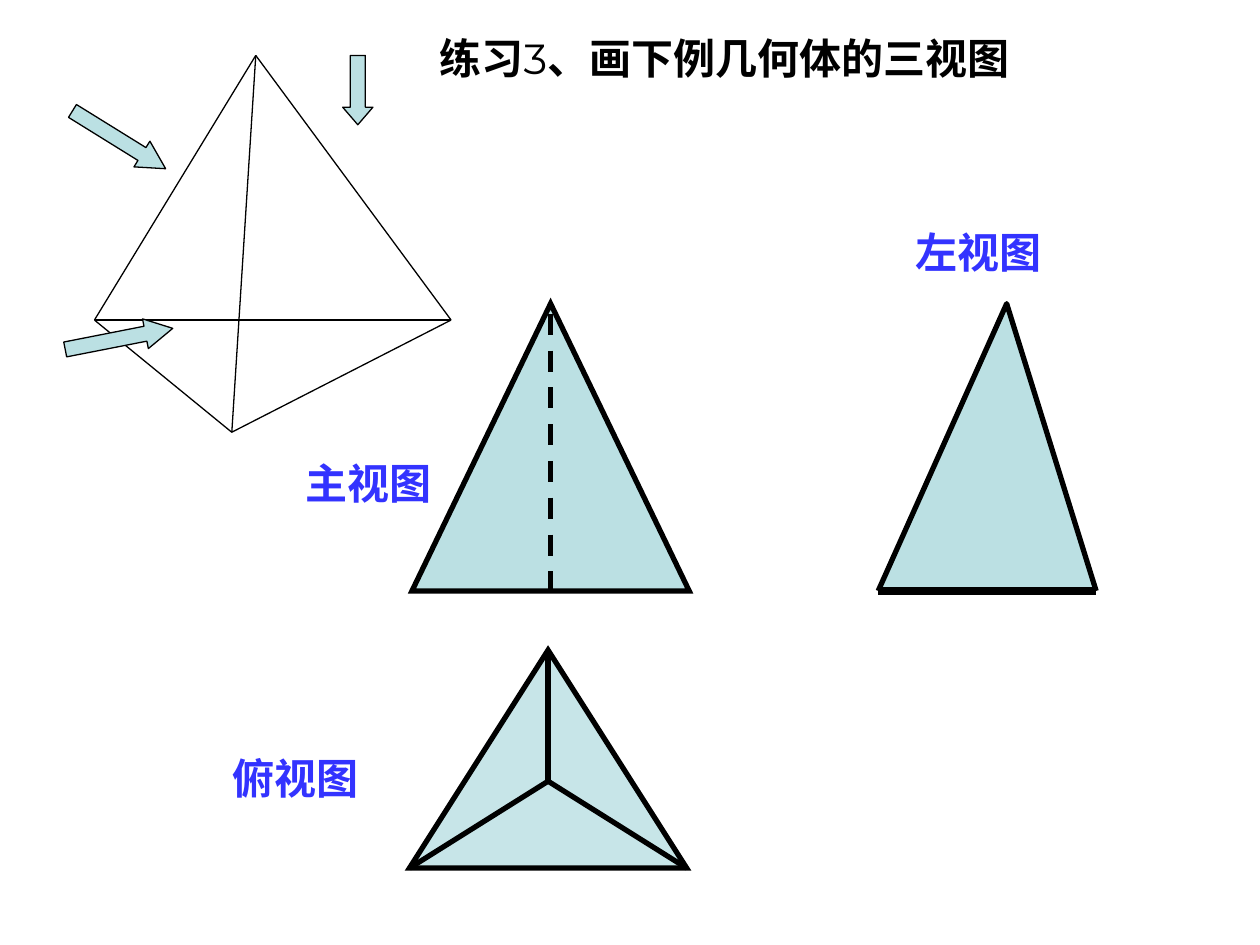
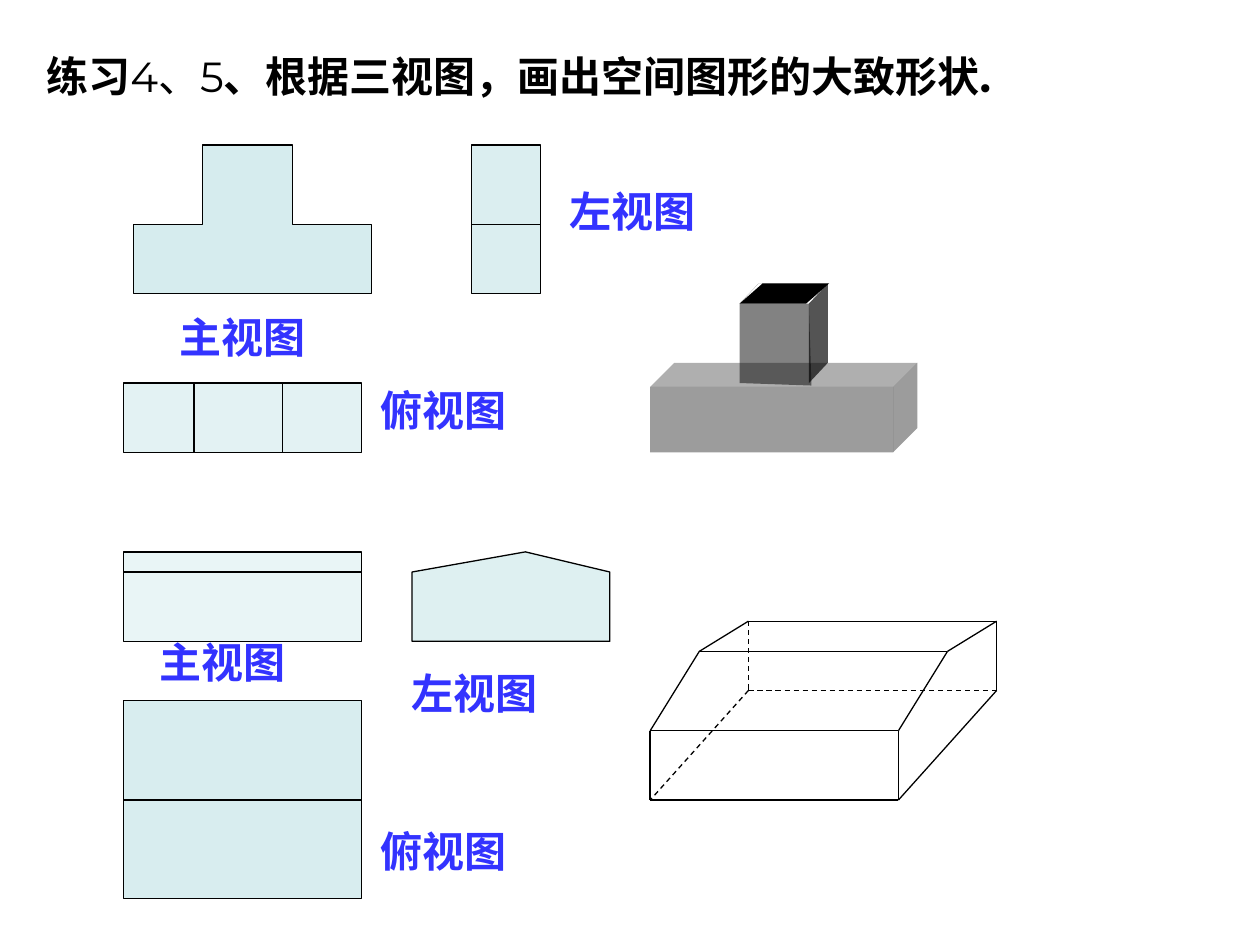
from pptx import Presentation, util as u
from pptx.dml.color import RGBColor
from pptx.enum import dml, lang, shapes as sh, text as tx
from pptx.oxml.ns import qn
from lxml import etree

PX = 9144  # EMU per px, 100 px to the inch
INK, AQUA, BLUE = "000000", "BBE0E3", "3333FF"
THIN, BOLD = 0.75, 3
KIND = sh.MSO_SHAPE
FRONT, TOP, LEFT = "主视图", "俯视图", "左视图"


def rgb(code):
    return RGBColor.from_string(code)


def emu(*nums):
    return [u.Emu(n * PX) for n in nums]


class Board:
    """Holds the deck, the shared style and the current slide."""
    head = dict(size=u.Pt(24), name="Montserrat")
    tag = dict(size=u.Pt(24), name="Times New Roman", bold=True)

    def __init__(self):
        self.deck = Presentation()
        self.deck.slide_width, self.deck.slide_height = emu(1000, 750)

    def page(self):
        self.items = self.deck.slides.add_slide(self.deck.slide_layouts[6]).shapes

    def pen(self, line, width, dash=False):
        line.color.rgb = rgb(INK)
        line.width = u.Pt(width)
        if dash:
            line.dash_style = dml.MSO_LINE.DASH

    def paint(self, item, fill, alpha, width):
        """Sets fill, opacity in percent and outline; None means no fill or no line."""
        item.shadow.inherit = False
        if fill:
            item.fill.solid()
            item.fill.fore_color.rgb = rgb(fill)
            if alpha < 100:
                tone = item._element.spPr.find(".//" + qn("a:srgbClr"))
                etree.SubElement(tone, qn("a:alpha"), val=str(alpha * 1000))
        else:
            item.fill.background()
        if width:
            self.pen(item.line, width)
        else:
            item.line.fill.background()

    def shape(self, kind, box, fill=AQUA, alpha=100, width=THIN, adj=(), turn=0):
        item = self.items.add_shape(kind, *emu(*box))
        self.paint(item, fill, alpha, width)
        for i, val in enumerate(adj):
            item.adjustments[i] = val
        item.rotation = turn
        if kind == KIND.ISOSCELES_TRIANGLE:
            etree.SubElement(item.line._get_or_add_ln(), qn("a:miter"), lim="800000")

    def free(self, dots, fill=AQUA, alpha=100, width=THIN, close=False):
        path = self.items.build_freeform(*dots[0], scale=PX)
        path.add_line_segments(dots[1:], close=close)
        self.paint(path.convert_to_shape(), fill, alpha, width)

    def line(self, start, end, width=THIN, dash=False):
        item = self.items.add_connector(sh.MSO_CONNECTOR.STRAIGHT, *emu(*start, *end))
        self.pen(item.line, width, dash)
        etree.SubElement(item._element.spPr, qn("a:effectLst"))

    def text(self, box, runs, style, color):
        """Writes runs of (words, format values) in one paragraph."""
        frame = self.items.add_textbox(*emu(*box)).text_frame
        frame.word_wrap = True
        frame.auto_size = tx.MSO_AUTO_SIZE.SHAPE_TO_FIT_TEXT
        for words, extra in runs:
            run = frame.paragraphs[0].add_run()
            run.text = words
            run.font.color.rgb = rgb(color)
            run.font.language_id = lang.MSO_LANGUAGE_ID.SIMPLIFIED_CHINESE
            for key, val in {**style, **extra}.items():
                setattr(run.font, key, val)

    def title(self, x, y, wide, *words):
        """Puts the middle one of three pieces in regular weight."""
        runs = [(word, dict(bold=i != 1)) for i, word in enumerate(words)]
        self.text((x, y, wide, 50), runs, self.head, INK)

    def label(self, x, y, word):
        self.text((x, y, 150, 50), [(word, {})], self.tag, BLUE)


def pyramid(b):
    b.page()
    b.free([(697, 469), (799, 241), (870, 469)], width=BOLD)

    peak, west, south, east = (203, 44), (75, 254), (184, 343), (358, 254)
    b.free([west, south, east], fill=None)
    b.line(west, east)
    for foot in (west, south, east):
        b.line(peak, foot)

    b.shape(KIND.ISOSCELES_TRIANGLE, (327, 241, 220, 228), width=BOLD)
    b.shape(KIND.ISOSCELES_TRIANGLE, (325, 516, 220, 173), alpha=82, width=BOLD)
    b.line((437, 249), (437, 469), BOLD, dash=True)
    for tip in ((435, 516), (325, 689), (545, 689)):
        b.line((435, 620), tip, BOLD)

    for y, turn in ((257, 348.9), (99, 31.8)):
        b.shape(KIND.RIGHT_ARROW, (51, y, 87, 24), adj=(0.5, 0.92), turn=turn)
    b.shape(KIND.DOWN_ARROW, (272, 44, 24, 55), adj=(0.5, 0.58))
    b.line((697, 469), (870, 469), 4.5)

    b.title(339, 21, 661, "练习", "3", "、画下例几何体的三视图")
    for x, y, word in ((233, 358, FRONT), (175, 592, TOP), (717, 175, LEFT)):
        b.label(x, y, word)


def blocks(b):
    """Three views and the solid of exercise 4."""
    b.shape(KIND.RECTANGLE, (98, 304, 189, 55), alpha=40)
    for x in (154, 224):
        b.line((x, 304), (x, 359))
    b.free([(161, 178), (106, 178), (106, 233), (295, 233), (295, 178),
            (232, 178), (232, 115), (161, 115)], alpha=60, close=True)
    b.shape(KIND.CUBE, (516, 288, 212, 71), INK, 39, None, adj=(0.27,))
    b.free([(587, 241), (602, 225), (657, 225), (642, 241), (642, 304),
            (657, 288), (657, 225), (602, 225)], INK, 67, None)
    b.free([(642, 241), (587, 241), (587, 304), (644, 306)], INK, 49, None)
    b.shape(KIND.PARALLELOGRAM, (587, 225, 71, 16), INK, 100, None, adj=(1.14,))
    b.shape(KIND.RECTANGLE, (374, 115, 55, 118), alpha=52)
    b.line((374, 178), (429, 178))


def prism(b):
    """Three views and the solid of exercise 5."""
    for y, high, alpha, fold in ((438, 71, 31, 454), (556, 157, 56, 635)):
        b.shape(KIND.RECTANGLE, (98, y, 189, high), alpha=alpha)
        b.line((98, fold), (287, fold))
    b.free([(417, 438), (327, 454), (327, 509), (484, 509), (484, 454)],
           alpha=48, close=True)

    near = [(516, 635), (516, 580), (555, 517), (594, 493), (594, 548)]
    far = [(x + 197, y) for x, y in near]
    for i in range(5):
        nxt = (i + 1) % 5
        b.line(near[i], near[nxt], dash=i > 2)
        b.line(far[i], far[nxt])
        b.line(near[i], far[i], dash=i == 4)


def main():
    b = Board()
    pyramid(b)
    b.page()
    blocks(b)
    prism(b)
    b.title(27, 35, 945, "练习", "4、5", "、根据三视图，画出空间图形的大致形状.")
    for x, y, word in ((133, 242, FRONT), (292, 300, TOP), (442, 142, LEFT),
                       (117, 500, FRONT), (292, 650, TOP), (317, 525, LEFT)):
        b.label(x, y, word)
    b.deck.save("out.pptx")


if __name__ == "__main__":
    main()
